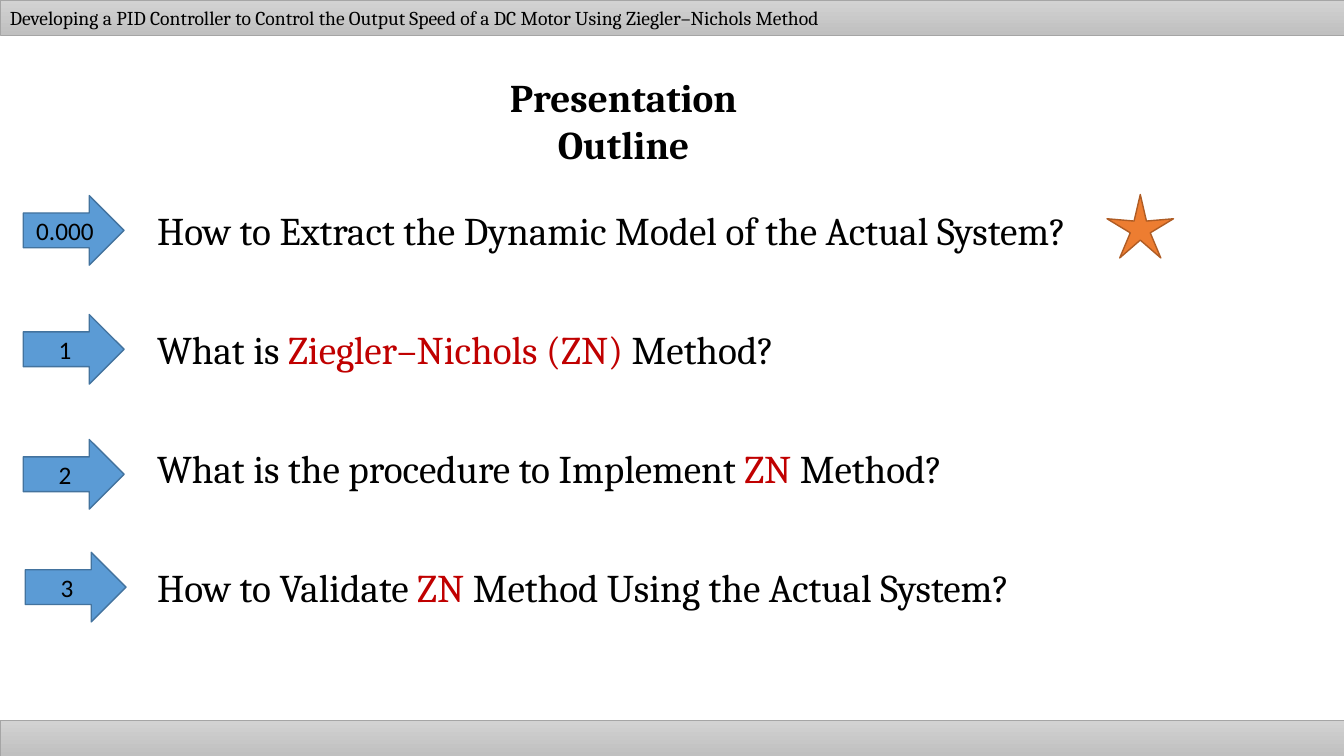
from dataclasses import dataclass

from pptx import Presentation
from pptx import util as u
from pptx.dml.color import RGBColor
from pptx.enum import shapes, text

BLACK = RGBColor(0x00, 0x00, 0x00)
RED = RGBColor(0xC0, 0x00, 0x00)
BLUE = RGBColor(0x5B, 0x9B, 0xD5)
DARK_BLUE = RGBColor(0x43, 0x73, 0x9E)
ORANGE = RGBColor(0xED, 0x7D, 0x31)
DARK_ORANGE = RGBColor(0xAF, 0x5C, 0x24)
BAR_TOP = RGBColor(0xD2, 0xD2, 0xD2)
BAR_BOTTOM = RGBColor(0xC0, 0xC0, 0xC0)
BAR_EDGE = RGBColor(0xA5, 0xA5, 0xA5)

WIDTH, HEIGHT = u.Inches(13.33), u.Inches(7.5)

# Rows of the outline, in percent of the slide height
FIRST_ROW, ROW_PITCH = 26.67, 15.73
BAR_HEIGHT = 4.67


@dataclass(frozen=True)
class Box:
    """A frame in percent of the slide's width and height."""
    left: float
    top: float
    width: float
    height: float

    def lengths(self) -> tuple[int, int, int, int]:
        return (int(WIDTH * self.left / 100), int(HEIGHT * self.top / 100),
                int(WIDTH * self.width / 100), int(HEIGHT * self.height / 100))


@dataclass(frozen=True)
class Topic:
    """An outline entry; words between asterisks are highlighted."""
    label: str
    question: str
    width: float
    arrow_left: float = 1.73
    arrow_drop: float = 0


TOPICS = [
    Topic("0.000", "How to Extract the Dynamic Model of the Actual System?", 73.29),
    Topic("1", "What is *Ziegler–Nichols (ZN) *Method?", 70.97),
    Topic("2", "What is the procedure to Implement *ZN* Method?", 71.42, arrow_drop=0.8),
    Topic("3", "How to Validate *ZN* Method Using the Actual System?", 87.1, arrow_left=1.88),
]


def write(frame, words: str, *, size: float, font: str = "Cambria", bold: bool = False,
          align=text.PP_ALIGN.LEFT, anchor=text.MSO_ANCHOR.TOP) -> None:
    frame.word_wrap = True
    frame.vertical_anchor = anchor
    paragraph = frame.paragraphs[0]
    paragraph.alignment = align
    for index, part in enumerate(words.split("*")):
        run = paragraph.add_run()
        run.text = part
        run.font.size = u.Pt(size)
        run.font.name = font
        run.font.bold = bold
        run.font.color.rgb = RED if index % 2 else BLACK


def add_words(slide, box: Box, words: str, **style) -> None:
    write(slide.shapes.add_textbox(*box.lengths()).text_frame, words, **style)


def add_figure(slide, kind, box: Box, edge: RGBColor, fill: RGBColor | None = None,
               edge_width: float = 1):
    """Draw a preset shape; without a fill colour it gets the grey bar gradient."""
    figure = slide.shapes.add_shape(kind, *box.lengths())
    figure.shadow.inherit = False
    figure.line.color.rgb = edge
    figure.line.width = u.Pt(edge_width)
    if fill is None:
        figure.fill.gradient()
        figure.fill.gradient_angle = 270
        for stop, colour in zip(figure.fill.gradient_stops, (BAR_TOP, BAR_BOTTOM)):
            stop.color.rgb = colour
    else:
        figure.fill.solid()
        figure.fill.fore_color.rgb = fill
    return figure


def add_topic(slide, topic: Topic, row: int) -> None:
    top = FIRST_ROW + row * ROW_PITCH
    add_words(slide, Box(10.95, top, topic.width, 7.6), topic.question, size=28)
    arrow = add_figure(slide, shapes.MSO_SHAPE.RIGHT_ARROW,
                       Box(topic.arrow_left, top - 0.8 + topic.arrow_drop, 7.5, 9.2),
                       DARK_BLUE, BLUE)
    write(arrow.text_frame, topic.label, size=18, font="Calibri",
          align=text.PP_ALIGN.CENTER, anchor=text.MSO_ANCHOR.MIDDLE)


def main() -> None:
    deck = Presentation()
    deck.slide_width, deck.slide_height = WIDTH, HEIGHT
    slide = deck.slides.add_slide(deck.slide_layouts[6])

    # Title and outline
    add_words(slide, Box(32.03, 9.07, 28.73, 13.87), "Presentation Outline",
              size=28, bold=True, align=text.PP_ALIGN.CENTER)
    for row, topic in enumerate(TOPICS):
        add_topic(slide, topic, row)

    # Header and footer bars
    header, _footer = [
        add_figure(slide, shapes.MSO_SHAPE.RECTANGLE, Box(0, top, 100, BAR_HEIGHT),
                   BAR_EDGE, edge_width=0.5)
        for top in (0, 100 - BAR_HEIGHT)]
    write(header.text_frame,
          "Developing a PID Controller to Control the Output Speed of a DC Motor "
          "Using Ziegler–Nichols Method", size=14, anchor=text.MSO_ANCHOR.MIDDLE)

    # Star beside the current topic
    star = add_figure(slide, shapes.MSO_SHAPE.STAR_5_POINT, Box(82.37, 25.73, 4.95, 8.4),
                      DARK_ORANGE, ORANGE)
    star.adjustments[0] = 0.15

    deck.save("out.pptx")


if __name__ == "__main__":
    main()
